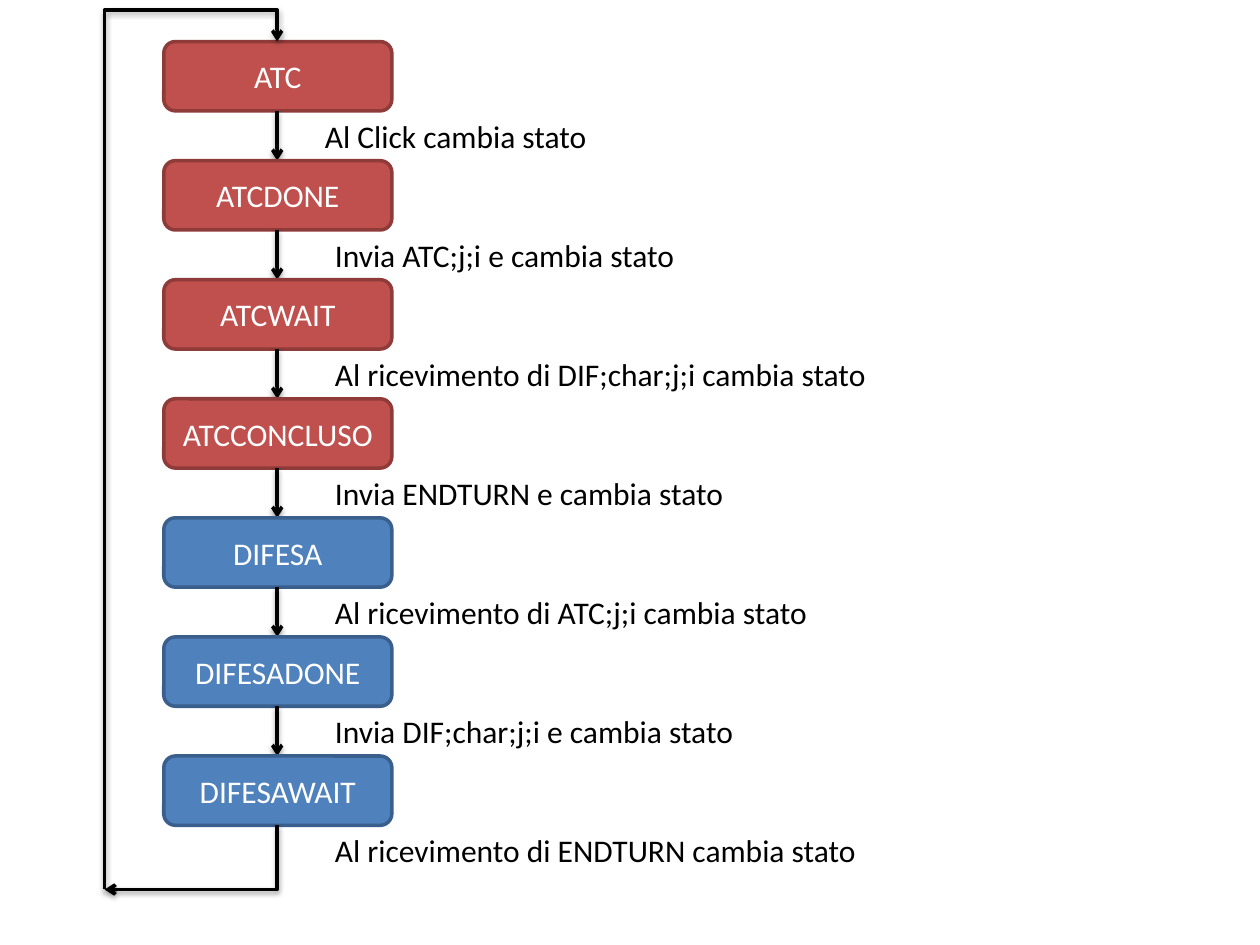
"""Build the turn state diagram slide."""
import lxml.etree
import pptx
import pptx.dml.color
import pptx.enum.shapes
import pptx.enum.text
import pptx.oxml
import pptx.oxml.ns
import pptx.util

Inches = pptx.util.Inches
RGBColor = pptx.dml.color.RGBColor
CONNECTOR = pptx.enum.shapes.MSO_CONNECTOR

BLACK = RGBColor(0x00, 0x00, 0x00)
WHITE = RGBColor(0xFF, 0xFF, 0xFF)
RED = RGBColor(0xC0, 0x50, 0x4D)
DARK_RED = RGBColor(0x8E, 0x3B, 0x39)
BLUE = RGBColor(0x4F, 0x81, 0xBD)
DARK_BLUE = RGBColor(0x3A, 0x5F, 0x8C)
ATTACK = (RED, DARK_RED)
DEFENCE = (BLUE, DARK_BLUE)

STATES = [
    ("ATC", ATTACK, "Al Click cambia stato", 2.48, 2.3),
    ("ATCDONE", ATTACK, "Invia ATC;j;i e cambia stato", 2.56, 2.93),
    ("ATCWAIT", ATTACK, "Al ricevimento di DIF;char;j;i cambia stato", 2.56, 4.46),
    ("ATCCONCLUSO", ATTACK, "Invia ENDTURN e cambia stato", 2.56, 3.32),
    ("DIFESA", DEFENCE, "Al ricevimento di ATC;j;i cambia stato", 2.56, 3.99),
    ("DIFESADONE", DEFENCE, "Invia DIF;char;j;i e cambia stato", 2.56, 3.4),
    ("DIFESAWAIT", DEFENCE, "Al ricevimento di ENDTURN cambia stato", 2.56, 4.38),
]

BOX_LEFT, BOX_WIDTH, BOX_HEIGHT = 1.3, 1.81, 0.55
FIRST_TOP, LAST_TOP = 0.33, 6.0
PITCH = (LAST_TOP - FIRST_TOP) / (len(STATES) - 1)
CENTER = 2.2
RETURN_LEFT, RETURN_BOTTOM = 0.83, 7.06
LABEL_HEIGHT = 0.4

SHADOW_XML = (
    '<a:effectLst xmlns:a="http://schemas.openxmlformats.org/drawingml/2006/main">'
    '<a:outerShdw blurRad="40000" dist="20000" dir="5400000" rotWithShape="0">'
    '<a:srgbClr val="000000"><a:alpha val="38000"/></a:srgbClr>'
    "</a:outerShdw></a:effectLst>"
)


def style_text(text_frame, color):
    font = text_frame.paragraphs[0].runs[0].font
    font.name = "Calibri"
    font.size = pptx.util.Pt(18)
    font.color.rgb = color


def add_arrow(slide, kind, begin, end):
    points = [Inches(value) for value in (*begin, *end)]
    arrow = slide.shapes.add_connector(kind, *points)
    arrow.line.color.rgb = BLACK
    arrow.line.width = pptx.util.Pt(2)
    line = arrow.line._get_or_add_ln()
    lxml.etree.SubElement(line, pptx.oxml.ns.qn("a:tailEnd"), type="arrow")
    arrow._element.spPr.append(pptx.oxml.parse_xml(SHADOW_XML))
    return arrow


def add_turned_elbow(slide, top, bottom, flipped, preset, adjust=None):
    across, down = CENTER - RETURN_LEFT, bottom - top
    middle_x, middle_y = (CENTER + RETURN_LEFT) / 2, (top + bottom) / 2
    begin = (middle_x - down / 2, middle_y - across / 2)
    end = (middle_x + down / 2, middle_y + across / 2)
    if flipped:
        begin, end = end, begin
    elbow = add_arrow(slide, CONNECTOR.ELBOW, begin, end)
    properties = elbow._element.spPr
    properties.find(pptx.oxml.ns.qn("a:xfrm")).set("rot", "5400000")
    geometry = properties.find(pptx.oxml.ns.qn("a:prstGeom"))
    geometry.set("prst", preset)
    if adjust is not None:
        guides = geometry.find(pptx.oxml.ns.qn("a:avLst"))
        lxml.etree.SubElement(
            guides, pptx.oxml.ns.qn("a:gd"), name="adj1", fmla=f"val {adjust}"
        )


def add_state(slide, top, name, fill, border):
    box = slide.shapes.add_shape(
        pptx.enum.shapes.MSO_SHAPE.ROUNDED_RECTANGLE,
        Inches(BOX_LEFT), Inches(top), Inches(BOX_WIDTH), Inches(BOX_HEIGHT),
    )
    box.shadow.inherit = False
    box.fill.solid()
    box.fill.fore_color.rgb = fill
    box.line.color.rgb = border
    box.line.width = pptx.util.Pt(2)
    box.text_frame.text = name
    box.text_frame.vertical_anchor = pptx.enum.text.MSO_ANCHOR.MIDDLE
    box.text_frame.paragraphs[0].alignment = pptx.enum.text.PP_ALIGN.CENTER
    style_text(box.text_frame, WHITE)


def add_label(slide, left, top, width, text):
    label = slide.shapes.add_textbox(
        Inches(left), Inches(top), Inches(width), Inches(LABEL_HEIGHT)
    )
    label.text_frame.text = text
    label.text_frame.word_wrap = False
    label.text_frame.auto_size = pptx.enum.text.MSO_AUTO_SIZE.SHAPE_TO_FIT_TEXT
    style_text(label.text_frame, BLACK)


presentation = pptx.Presentation()
presentation.slide_width = Inches(10)
presentation.slide_height = Inches(7.5)
slide = presentation.slides.add_slide(presentation.slide_layouts[6])

for index, (name, colors, action, label_left, label_width) in enumerate(STATES):
    top = FIRST_TOP + index * PITCH
    bottom = top + BOX_HEIGHT
    add_state(slide, top, name, *colors)
    add_label(slide, label_left, bottom, label_width, action)
    if index < len(STATES) - 1:
        add_arrow(slide, CONNECTOR.STRAIGHT, (CENTER, bottom), (CENTER, top + PITCH))

add_turned_elbow(slide, LAST_TOP + BOX_HEIGHT, RETURN_BOTTOM, False, "bentConnector2")
add_turned_elbow(slide, FIRST_TOP, RETURN_BOTTOM, True, "bentConnector3", 103700)

presentation.save("out.pptx")
